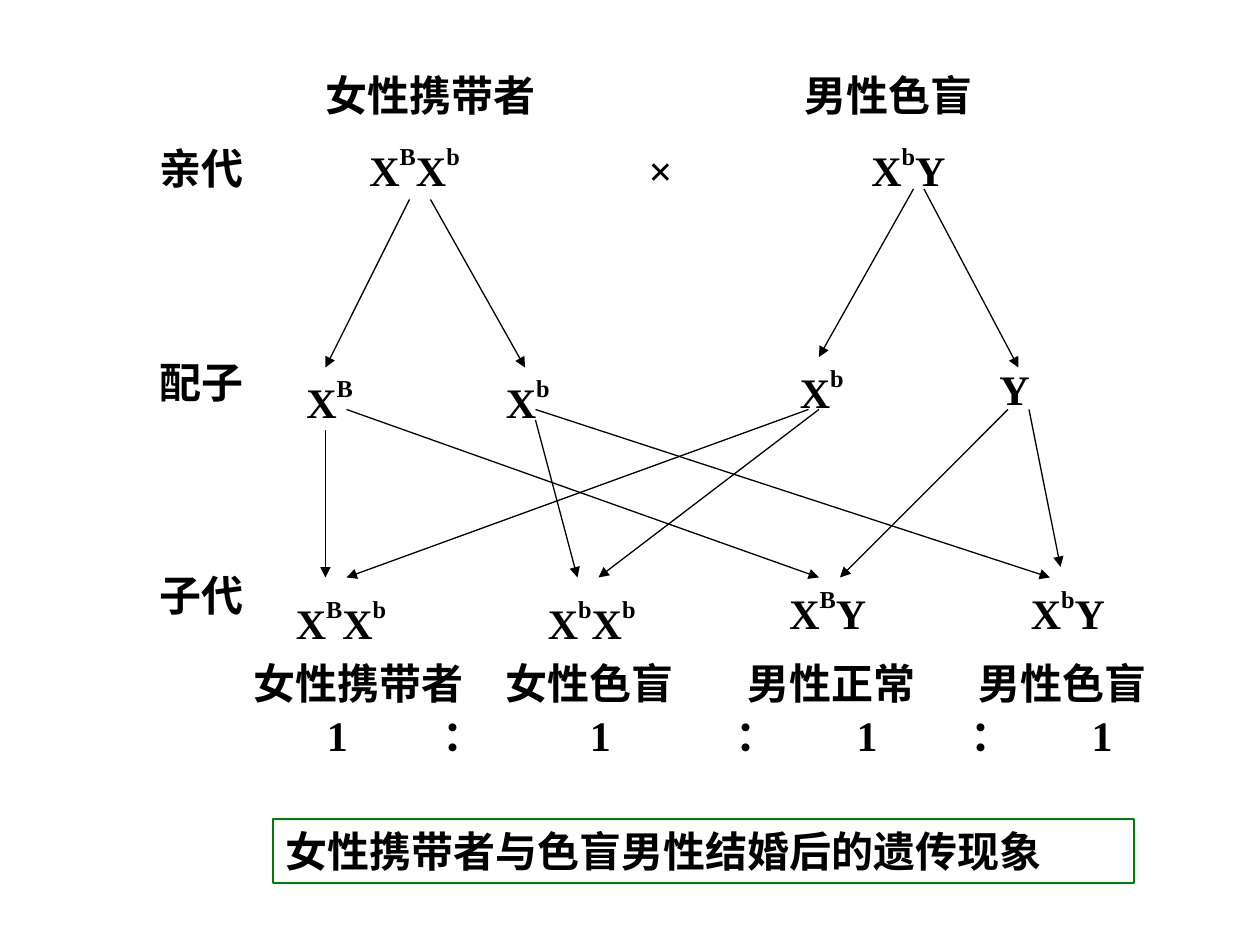
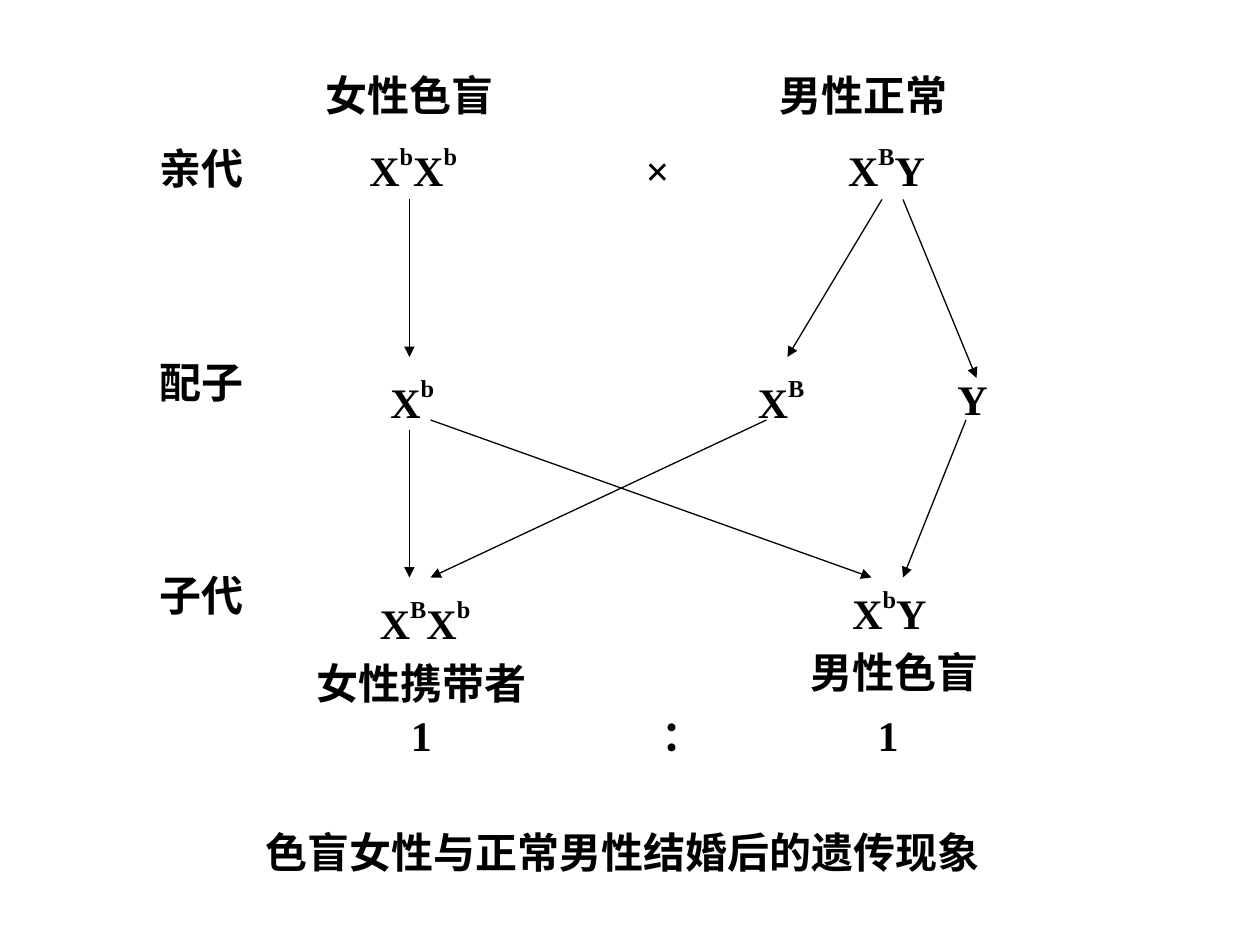
from dataclasses import dataclass

from lxml import etree
from pptx import Presentation
from pptx import util as u
from pptx.dml.color import RGBColor
from pptx.enum import shapes, text
from pptx.oxml import ns


@dataclass(frozen=True)
class Theme:
    font: str = "Times New Roman"
    size: int = 24
    ink: str = "000000"
    frame: str = "008000"
    paper: str = "FFFFFF"
    line_width: float = 0.75
    inset: float = 1.2
    line_height: float = 6


@dataclass(frozen=True)
class Box:
    left: float
    top: float
    width: float
    height: float

    @property
    def right(self):
        return self.left + self.width


THEME = Theme()
GRID_CM = 25.4 / 120
STAGES = ("亲代", "配子", "子代")
STAGE_PITCH = 20.33

LABELS = Box(14, 13, 12, 49)
PARENTS = Box(0, 6, 100, 13)
MEIOSIS = Box(0, 18, 120, 18)
GAMETES = Box(0, 34, 120, 7)
FERTILIZATION = Box(0, 39, 120, 16)
OFFSPRING = Box(0, 55, 120, 13)
RATIO = Box(0, 67, 110, 6)

CARRIER_MOTHER = {
    "sexes": [("女性携带者", 31), ("男性色盲", 76.6)],
    "genotypes": [("X^BX^b", 35.2), ("×", 61.8), ("X^bY", 83)],
    "meiosis": [(39, 1, 31, 17), (41, 1, 50, 17), (87, 0, 78, 16), (88, 0, 97, 17)],
    "gametes": [("X^B", 28, 1), ("X^b", 47, 1), ("X^b", 75, 0), ("Y", 94, 0)],
    "fertilization": [
        (31, 2, 31, 16), (77, 0, 33, 16), (51, 1, 55, 16), (78, 0, 57, 16),
        (33, 0, 78, 16), (96, 0, 80, 16), (51, 0, 100, 16), (98, 0, 101, 15),
    ],
    "offspring": [
        ("X^BX^b", 27, 1, 12), ("X^bX^b", 51, 1, 12), ("X^BY", 74, 0, 11), ("X^bY", 97, 0, 11),
        ("女性携带者", 23, 7, 24), ("女性色盲", 47, 7, 19),
        ("男性正常", 70, 7, 19), ("男性色盲", 92, 7, 19),
    ],
    "ratio": [("1", 31.15), ("：", 42.15), ("1", 56.2), ("：", 70.1),
              ("1", 81.6), ("：", 92.5), ("1", 104)],
    "caption": "女性携带者与色盲男性结婚后的遗传现象",
    "caption_box": Box(26, 78, 82, 6.1),
    "framed": True,
}

COLOUR_BLIND_MOTHER = {
    "sexes": [("女性色盲", 31), ("男性正常", 74.3)],
    "genotypes": [("X^bX^b", 35.2), ("×", 61.5), ("X^BY", 80.8)],
    "meiosis": [(39, 1, 39, 16), (84, 1, 75, 16), (86, 1, 93, 18)],
    "gametes": [("X^b", 36, 1), ("X^B", 71, 1), ("Y", 90, 1)],
    "fertilization": [(39, 2, 39, 16), (73, 1, 41, 16), (41, 1, 83, 16), (92, 1, 86, 16)],
    "offspring": [
        ("X^BX^b", 35, 1, 15), ("X^bY", 80, 0, 13),
        ("女性携带者", 29, 7, 24), ("男性色盲", 76, 6, 20),
    ],
    "ratio": [("1", 39.15), ("：", 63.05), ("1", 83.6)],
    "caption": "色盲女性与正常男性结婚后的遗传现象",
    "caption_box": Box(24.1, 78.1, 74, 6),
    "framed": False,
}


def grid(units):
    return u.Cm(units * GRID_CM)


def style_run(run):
    run.font.name = THEME.font
    run.font.size = u.Pt(THEME.size)
    run.font.bold = True
    run.font.color.rgb = RGBColor.from_string(THEME.ink)


def write_alleles(paragraph, notation):
    first, *marked = notation.split("^")
    pieces = [(first, False)]
    for part in marked:
        pieces += [(part[0], True), (part[1:], False)]
    for piece, raised in pieces:
        if piece:
            run = paragraph.add_run()
            run.text = piece
            style_run(run)
            if raised:
                run._r.get_or_add_rPr().set("baseline", "50000")


def add_term(slide, notation, left, top, width):
    term = slide.shapes.add_textbox(grid(left), grid(top), grid(width), grid(THEME.line_height))
    term.text_frame.word_wrap = True
    paragraph = term.text_frame.paragraphs[0]
    write_alleles(paragraph, notation)
    return paragraph


def add_tabbed_row(slide, entries, top, right):
    start = entries[0][1]
    left = start - THEME.inset
    notation = "\t".join(entry for entry, _ in entries)
    paragraph = add_term(slide, notation, left, top, right - left)
    stops = etree.SubElement(paragraph._p.get_or_add_pPr(), ns.qn("a:tabLst"))
    for _, position in entries[1:]:
        etree.SubElement(stops, ns.qn("a:tab"), pos=str(grid(position - start)), algn="l")


def add_stage_labels(slide, box):
    for index, stage in enumerate(STAGES):
        add_term(slide, stage, box.left, box.top + index * STAGE_PITCH, box.width)


def add_parents(slide, box, sexes, genotypes):
    add_tabbed_row(slide, sexes, box.top, box.right)
    add_tabbed_row(slide, genotypes, box.top + 6.9, box.right)


def add_gametes(slide, box, gametes):
    for notation, x, y in gametes:
        add_term(slide, notation, box.left + x, box.top + y, 9)


def add_offspring(slide, box, offspring):
    for notation, x, y, width in offspring:
        add_term(slide, notation, box.left + x, box.top + y, width)


def add_arrows(slide, box, routes):
    for x1, y1, x2, y2 in routes:
        arrow = slide.shapes.add_connector(
            shapes.MSO_CONNECTOR.STRAIGHT,
            grid(box.left + x1), grid(box.top + y1),
            grid(box.left + x2), grid(box.top + y2),
        )
        arrow.line.color.rgb = RGBColor.from_string(THEME.ink)
        arrow.line.width = u.Pt(THEME.line_width)
        etree.SubElement(arrow.line._get_or_add_ln(), ns.qn("a:tailEnd"), type="triangle")
        etree.SubElement(arrow._element.spPr, ns.qn("a:effectLst"))


def add_caption(slide, box, caption, framed):
    title = slide.shapes.title
    title.left, title.top = grid(box.left), grid(box.top)
    title.width, title.height = grid(box.width), grid(box.height)
    frame = title.text_frame
    frame.text = caption
    frame.word_wrap = True
    frame.auto_size = text.MSO_AUTO_SIZE.NONE
    frame.vertical_anchor = text.MSO_ANCHOR.TOP
    paragraph = frame.paragraphs[0]
    paragraph.alignment = text.PP_ALIGN.LEFT
    paragraph.space_before = u.Pt(0)
    style_run(paragraph.runs[0])
    if framed:
        title.line.color.rgb = RGBColor.from_string(THEME.frame)
        title.line.width = u.Pt(THEME.line_width)


def add_cross_slide(prs, cross):
    slide = prs.slides.add_slide(prs.slide_layouts.get_by_name("Title Only"))
    slide.background.fill.solid()
    slide.background.fill.fore_color.rgb = RGBColor.from_string(THEME.paper)
    add_parents(slide, PARENTS, cross["sexes"], cross["genotypes"])
    add_stage_labels(slide, LABELS)
    add_gametes(slide, GAMETES, cross["gametes"])
    add_offspring(slide, OFFSPRING, cross["offspring"])
    add_tabbed_row(slide, cross["ratio"], RATIO.top, RATIO.right)
    add_caption(slide, cross["caption_box"], cross["caption"], cross["framed"])
    add_arrows(slide, MEIOSIS, cross["meiosis"])
    add_arrows(slide, FERTILIZATION, cross["fertilization"])


def main():
    prs = Presentation()
    prs.slide_width, prs.slide_height = u.Cm(25.4), u.Cm(19.05)
    for cross in (CARRIER_MOTHER, COLOUR_BLIND_MOTHER):
        add_cross_slide(prs, cross)
    prs.save("out.pptx")


if __name__ == "__main__":
    main()
